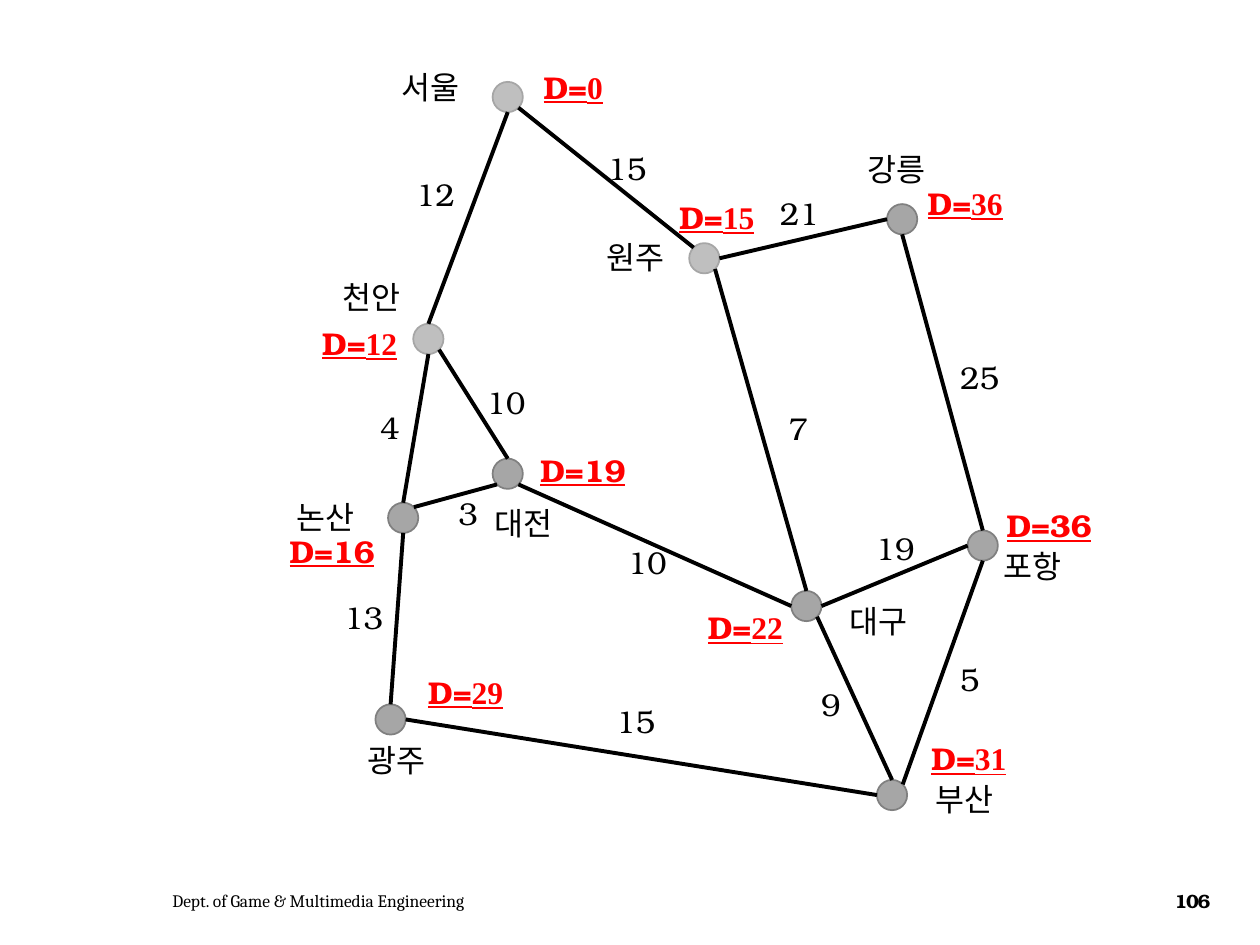
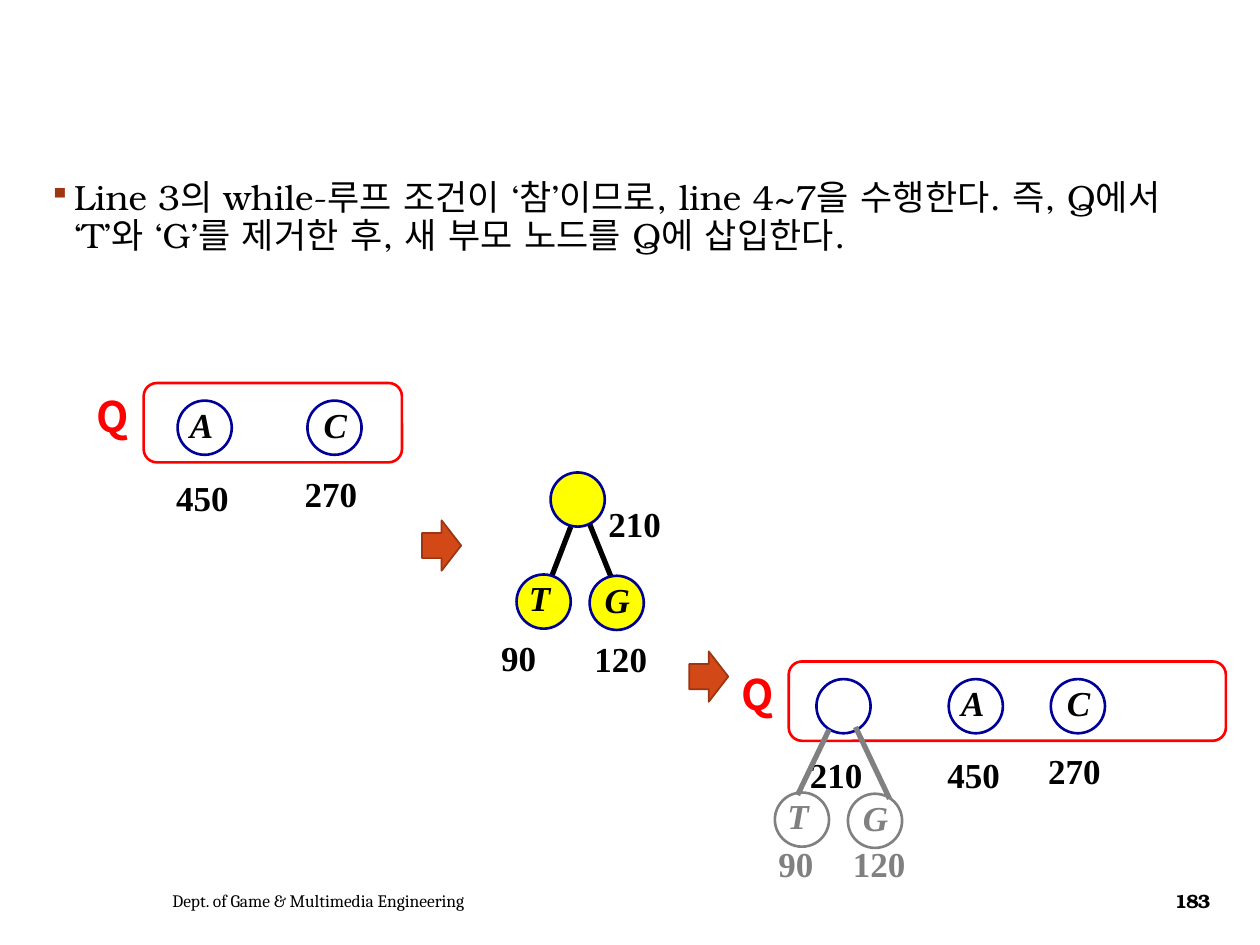
from math import sqrt

from lxml import etree
from pptx import Presentation
from pptx.dml.color import RGBColor
from pptx.enum.shapes import MSO_CONNECTOR, MSO_SHAPE
from pptx.enum.text import MSO_ANCHOR, PP_ALIGN
from pptx.oxml.ns import qn
from pptx.util import Pt

PX = 9144  # 100 px to the inch
LEFT, CENTER = PP_ALIGN.LEFT, PP_ALIGN.CENTER
TOP, MIDDLE = MSO_ANCHOR.TOP, MSO_ANCHOR.MIDDLE
OVAL, ARROW, ROUNDED = MSO_SHAPE.OVAL, MSO_SHAPE.RIGHT_ARROW, MSO_SHAPE.ROUNDED_RECTANGLE
STRAIGHT = MSO_CONNECTOR.STRAIGHT

SERIF, TIMES, SANS = "TeX Gyre Bonum", "Times New Roman", "Noto Sans CJK KR"


class Theme:
    black, red, gray = "000000", "FF0000", "808080"
    bullet = "9E3611"
    # Text styles
    label = dict(name=SERIF, size=18, color=black)
    distance = dict(name=SERIF, size=18, color=red, bold=True, underline=True)
    distance_digits = dict(distance, name=TIMES)
    body = dict(name=SERIF, size=20, color=black)
    weight = dict(name=TIMES, size=20, bold=True)
    letter = dict(weight, italic=True)
    queue = dict(name=SANS, size=24, color=red, bold=True)
    footer = dict(name="Cambria", size=10, color=black)
    number = dict(name=SERIF, size=11, color=black, bold=True)
    # Shape looks: fill, line colour, line width
    settled = ("BFBFBF", "A6A6A6", 1)
    reached = ("A6A6A6", gray, 1)
    arrow = ("D34817", "9C3511", 1)
    frame = (None, red, 1.5)
    plain_node = (None, "000099", 1.5)
    new_node = ("FFFF00", "000099", 1.5)
    faded_node = (None, gray, 1.5)


def px(*lengths):
    return [round(length * PX) for length in lengths]


def add_shape(slide, kind, box, look):
    fill, line, width = look
    shape = slide.shapes.add_shape(kind, *px(*box))
    shape.shadow.inherit = False
    if fill:
        shape.fill.solid()
        shape.fill.fore_color.rgb = RGBColor.from_string(fill)
    else:
        shape.fill.background()
    shape.line.color.rgb = RGBColor.from_string(line)
    shape.line.width = Pt(width)
    return shape


def add_line(slide, start, end, color, width):
    line = slide.shapes.add_connector(STRAIGHT, *px(*start, *end))
    line.line.color.rgb = RGBColor.from_string(color)
    line.line.width = Pt(width)
    etree.SubElement(line._element.spPr, qn("a:effectLst"))


def add_run(paragraph, text, style):
    run = paragraph.add_run()
    run.text = text
    values = dict(style)
    run.font.color.rgb = RGBColor.from_string(values.pop("color"))
    values["size"] = Pt(values["size"])
    for attribute, value in values.items():
        setattr(run.font, attribute, value)
    east_asian = etree.SubElement(run.font._element, qn("a:ea"))
    east_asian.set("typeface", style["name"])
    return run


def add_text(slide, box, runs, align=LEFT, anchor=TOP):
    """Add a text box; runs is a list of (text, style)."""
    frame = slide.shapes.add_textbox(*px(*box)).text_frame
    frame.word_wrap = True
    frame.vertical_anchor = anchor
    paragraph = frame.paragraphs[0]
    paragraph.alignment = align
    for text, style in runs:
        add_run(paragraph, text, style)
    return paragraph


def add_footer(slide, number):
    add_text(slide, (127, 695, 459, 40),
             [("Dept. of Game & Multimedia Engineering", Theme.footer)], anchor=MIDDLE)
    paragraph = add_text(slide, (920, 695, 53, 40), [(number, Theme.number)], CENTER, MIDDLE)
    paragraph.runs[0].font._element.set("spc", "-70")


# Road map: shortest distances between cities

NODE = 24
# city: (node left and top, look, label left, top and width)
CITIES = {
    "서울": ((391, 65), Theme.settled, (302, 49, 79)),
    "천안": ((328, 257), Theme.settled, (255, 216, 79)),
    "원주": ((547, 193), Theme.settled, (465, 184, 79)),
    "강릉": ((704, 162), Theme.reached, (658, 114, 107)),
    "논산": ((308, 399), Theme.reached, (209, 390, 99)),
    "대전": ((391, 364), Theme.reached, (376, 395, 79)),
    "광주": ((298, 559), Theme.reached, (248, 583, 133)),
    "대구": ((628, 469), Theme.reached, (658, 473, 79)),
    "포항": ((768, 421), Theme.reached, (780, 429, 79)),
    "부산": ((696, 619), Theme.reached, (717, 614, 97)),
}
# (city, side, city, side, length, label left and top)
ROADS = [
    ("서울", "S", "천안", "N", "12", (316, 134)),
    ("서울", "SE", "원주", "NW", "15", (468, 113)),
    ("원주", "E", "강릉", "W", "21", (605, 149)),
    ("강릉", "S", "포항", "N", "25", (748, 279)),
    ("천안", "SE", "대전", "N", "10", (372, 299)),
    ("천안", "S", "논산", "N", "4", (280, 319)),
    ("논산", "NE", "대전", "SW", "3", (342, 387)),
    ("논산", "S", "광주", "N", "13", (259, 470)),
    ("대전", "SE", "대구", "W", "10", (484, 426)),
    ("원주", "SE", "대구", "N", "7", (604, 320)),
    ("대구", "E", "포항", "W", "19", (681, 415)),
    ("대구", "SE", "부산", "N", "9", (630, 539)),
    ("포항", "S", "부산", "NE", "5", (740, 519)),
    ("광주", "E", "부산", "W", "15", (475, 552)),
]
# (distance, digit style, label left, top and width, alignment)
DISTANCES = [
    ("0", Theme.distance_digits, (417, 49, 76), CENTER),
    ("12", Theme.distance_digits, (239, 252, 93), CENTER),
    ("15", Theme.distance_digits, (526, 152, 86), CENTER),
    ("36", Theme.distance_digits, (715, 141, 102), CENTER),
    ("16", Theme.distance, (189, 417, 149), CENTER),
    ("19", Theme.distance, (419, 353, 94), LEFT),
    ("29", Theme.distance_digits, (330, 529, 101), LEFT),
    ("22", Theme.distance_digits, (552, 478, 143), LEFT),
    ("36", Theme.distance, (789, 397, 157), LEFT),
    ("31", Theme.distance_digits, (712, 582, 114), CENTER),
]


def node_site(city, side):
    """Return the point on the rim of a city's node at a compass side."""
    left, top = CITIES[city][0]
    reach = NODE / 2 / sqrt(len(side))
    across = ("E" in side) - ("W" in side)
    down = ("S" in side) - ("N" in side)
    return left + NODE / 2 + across * reach, top + NODE / 2 + down * reach


def add_road_map(slide):
    for city, (corner, look, _) in CITIES.items():
        add_shape(slide, OVAL, (*corner, NODE, NODE), look)
    for start, start_side, end, end_side, length, corner in ROADS:
        add_line(slide, node_site(start, start_side), node_site(end, end_side), Theme.black, 2.25)
        add_text(slide, (*corner, 59, 40), [(length, Theme.label)], CENTER)
    for city, (_, _, label) in CITIES.items():
        add_text(slide, (*label, 40), [(city, Theme.label)], CENTER)
    for digits, style, label, align in DISTANCES:
        add_text(slide, (*label, 40), [("D=", Theme.distance), (digits, style)], align)


# Priority queue: merging the two lightest nodes

CIRCLE = 43
LETTER_SHIFT = {"A": 0, "C": 3, "T": 0, "G": 2}


def add_tree_node(slide, left, top, letter, weight, weight_offset, look, color=Theme.black):
    add_shape(slide, OVAL, (left, top, CIRCLE, CIRCLE), look)
    if letter:
        add_text(slide, (left + LETTER_SHIFT[letter], top - 3, 40, 44),
                 [(letter, dict(Theme.letter, color=color))])
    across, down = weight_offset
    add_text(slide, (left + across, top + down, 64, 44),
             [(weight, dict(Theme.weight, color=color))])


def add_queue(slide, left, top, width, items):
    """items: (left within the frame, letter, weight, weight offset)."""
    frame = add_shape(slide, ROUNDED, (left, top, width, 63), Theme.frame)
    frame.adjustments[0] = 0.167
    add_text(slide, (left - 47, top + 1, 32, 51), [("Q", Theme.queue)])
    for item_left, letter, weight, offset in items:
        add_tree_node(slide, left + item_left, top + 14, letter, weight, offset, Theme.plain_node)


def add_children(slide, left, top, branches, weight_offsets, look, color):
    """Draw leaves T and G at the box corner, and branches relative to it."""
    for start_x, start_y, end_x, end_y in branches:
        add_line(slide, (left + start_x, top + start_y), (left + end_x, top + end_y), color, 3)
    leaves = zip("TG", ("90", "120"), weight_offsets)
    for index, (letter, weight, offset) in enumerate(leaves):
        add_tree_node(slide, left + 58 * index, top + index, letter, weight, offset, look, color)


def add_explanation(slide, box):
    text = ("Line 3의 while-루프 조건이 ‘참’이므로, line 4~7을 수행한다. 즉, Q에서 ‘T’와 ‘G’를 "
            "제거한 후, 새 부모 노드를 Q에 삽입한다.")
    paragraph = add_text(slide, box, [])
    paragraph.line_spacing = 0.9
    properties = paragraph._p.get_or_add_pPr()
    properties.set("marL", str(20 * PX))
    properties.set("indent", str(-20 * PX))
    bullet_color = etree.SubElement(properties, qn("a:buClr"))
    etree.SubElement(bullet_color, qn("a:srgbClr"), val=Theme.bullet)
    etree.SubElement(properties, qn("a:buSzPct"), val="85000")
    etree.SubElement(properties, qn("a:buChar"), char="▪")
    add_run(paragraph, text, Theme.body)


def add_queue_steps(slide):
    add_explanation(slide, (29, 138, 943, 537))
    # Queue after removing T and G
    add_queue(slide, 114, 304, 205, [(27, "A", "450", (-11, 55)), (130, "C", "270", (-12, 52))])
    # New parent node
    add_children(slide, 410, 456, [(43, -38, 28, 1), (58, -40, 75, 2)],
                 [(-22, 44), (-6, 44)], Theme.new_node, Theme.black)
    add_tree_node(slide, 437, 375, "", "210", (36, 19), Theme.new_node)
    # Queue after inserting the parent
    add_queue(slide, 626, 525, 347, [
        (22, "", "210", (-15, 54)),
        (127, "A", "450", (-11, 54)),
        (208, "C", "270", (-12, 51)),
    ])
    add_children(slide, 615, 629, [(43, -50, 18, 2), (64, -52, 91, 5)],
                 [(-7, 35), (-6, 34)], Theme.faded_node, Theme.gray)
    # Step arrows
    for left, top in ((335, 413), (547, 517)):
        add_shape(slide, ARROW, (left, top, 31, 40), Theme.arrow)


def main():
    presentation = Presentation()
    presentation.slide_width, presentation.slide_height = px(1000, 750)
    blank = presentation.slide_layouts[6]
    for build, number in ((add_road_map, "106"), (add_queue_steps, "183")):
        slide = presentation.slides.add_slide(blank)
        build(slide)
        add_footer(slide, number)
    presentation.save("out.pptx")


if __name__ == "__main__":
    main()
